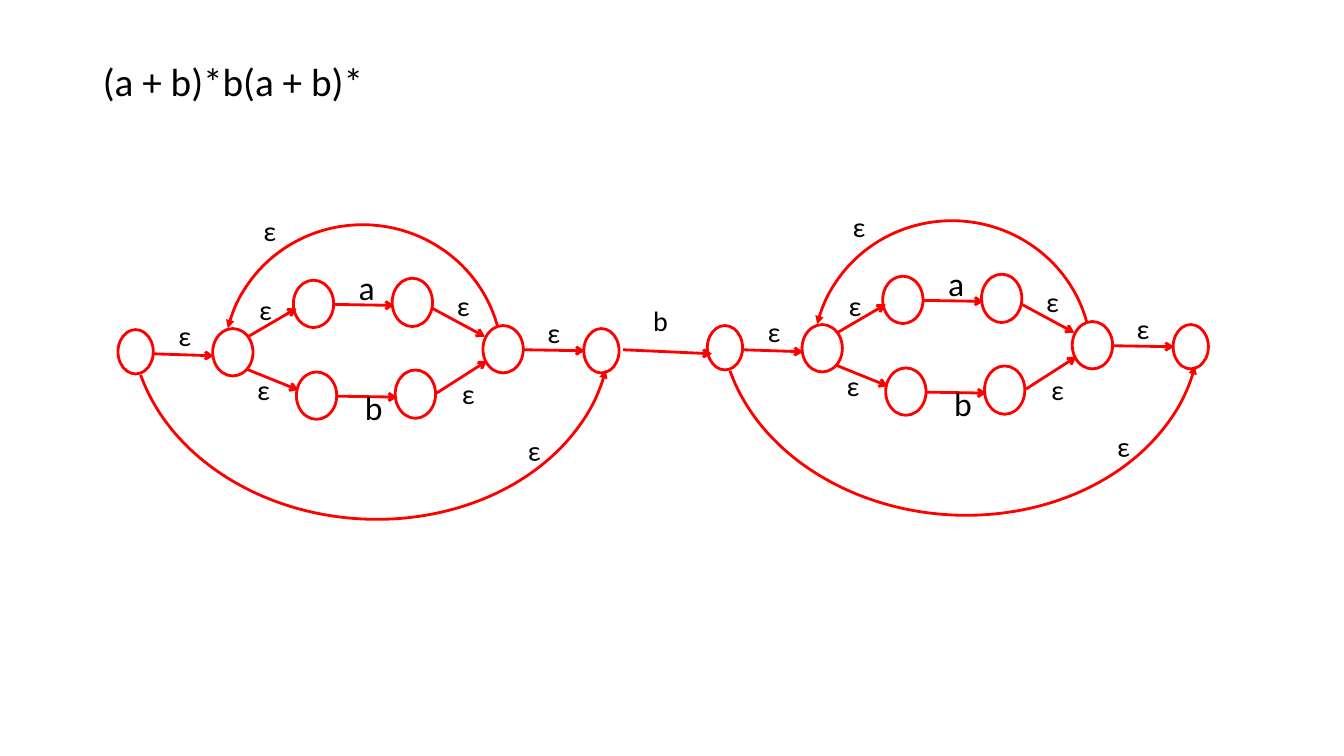
from pptx import Presentation
from pptx.dml.color import RGBColor
from pptx.enum.shapes import MSO_CONNECTOR, MSO_SHAPE
from pptx.enum.text import MSO_ANCHOR
from pptx.oxml.ns import qn
from pptx.util import Inches, Pt
from lxml import etree

OVAL, ARC = MSO_SHAPE.OVAL, MSO_SHAPE.ARC
STRAIGHT, TOP = MSO_CONNECTOR.STRAIGHT, MSO_ANCHOR.TOP
COLORS = {"line": "FF0000", "text": "000000"}


def write(tf, text, size=20, before=0, after=10, spacing=1.0):
    tf.word_wrap = True
    tf.vertical_anchor = TOP
    p = tf.paragraphs[0]
    p.space_before, p.space_after = Pt(before), Pt(after)
    p.line_spacing = spacing
    r = p.add_run()
    r.text = text
    r.font.size, r.font.name = Pt(size), "Calibri"
    r.font.color.rgb = RGBColor.from_string(COLORS["text"])
    return p


def outline(sp, end=None, arrow="arrow"):
    sp.line.color.rgb = RGBColor.from_string(COLORS["line"])
    sp.line.width = Pt(2)
    if end:
        etree.SubElement(sp.line._get_or_add_ln(), qn(end), type=arrow)
    etree.SubElement(sp._element.spPr, qn("a:effectLst"))


prs = Presentation()
prs.slide_width, prs.slide_height = Inches(13.33), Inches(7.5)
s = prs.slides.add_slide(prs.slide_layouts[1])

# Regular expression in the body placeholder
title, body = s.placeholders
title._element.getparent().remove(title._element)
body.left, body.top = Inches(0.92), Inches(0.57)
body.width, body.height = Inches(11.5), Inches(6.18)
p = write(body.text_frame, "(a + b)*b(a + b)*", size=28, before=10, after=0, spacing=0.9)
pPr = p._p.get_or_add_pPr()
pPr.set("marL", "0")
pPr.set("indent", "0")
etree.SubElement(pPr, qn("a:buNone"))

# One (a + b)* automaton: left, top, width, height of each state
states = [
    (2.91, 2.78, 0.4, 0.47), (3.89, 2.76, 0.4, 0.48),
    (2.94, 3.69, 0.4, 0.47), (3.92, 3.67, 0.4, 0.48),
    (2.11, 3.26, 0.4, 0.47), (4.79, 3.23, 0.4, 0.47),
    (1.17, 3.27, 0.35, 0.44), (5.79, 3.26, 0.35, 0.44),
]
# Transitions: x1, y1, x2, y2
arrows = [
    (3.3, 3.02, 3.91, 3.03), (3.33, 3.93, 3.94, 3.94),
    (2.46, 3.34, 2.94, 3.06), (2.44, 3.66, 2.96, 3.87),
    (4.29, 3.06, 4.81, 3.34), (4.33, 3.9, 4.83, 3.58),
    (1.52, 3.51, 2.12, 3.53), (5.19, 3.47, 5.8, 3.48),
]
# Loop back and bypass: box, rotation, start and end angle
arcs = [
    (2.25, 2.2, 2.7, 2.76, 94.2, 99.3, 251.6),
    (1.76, 0.85, 3.84, 4.76, 273.3, 97.4, 254.6),
]
# Labels: text, size, box, rotation
labels = [
    ("a", 24, 3.46, 2.6, 0.26, 0.22, 0), ("b", 24, 3.52, 3.79, 0.22, 0.22, 0),
    ("ε", 20, 2.51, 2.85, 0.16, 0.22, 0), ("ε", 20, 2.48, 3.65, 0.17, 0.18, 0),
    ("ε", 20, 4.46, 2.81, 0.17, 0.18, 0), ("ε", 20, 4.51, 3.69, 0.17, 0.18, 0),
    ("ε", 20, 1.67, 3.11, 0.22, 0.23, 0), ("ε", 20, 5.33, 3.08, 0.22, 0.23, 0),
    ("ε", 20, 2.57, 2.07, 0.14, 0.38, 0), ("ε", 20, 5.17, 4.25, 0.16, 0.37, 357.5),
]

# The same automaton stands on both sides of the middle b
for dx, dy in [(0, 0), (5.845, -0.04)]:
    shapes = s.shapes.add_group_shape().shapes
    for x, y, w, h in states:
        sp = shapes.add_shape(OVAL, Inches(x + dx), Inches(y + dy), Inches(w), Inches(h))
        sp.fill.background()
        outline(sp)
    for x1, y1, x2, y2 in arrows:
        outline(shapes.add_connector(STRAIGHT, Inches(x1 + dx), Inches(y1 + dy),
                                     Inches(x2 + dx), Inches(y2 + dy)), "a:tailEnd")
    for x, y, w, h, rotation, start, end in arcs:
        sp = shapes.add_shape(ARC, Inches(x + dx), Inches(y + dy), Inches(w), Inches(h))
        sp.rotation = rotation
        # 60000 units per degree, adjustments count in 100000 units
        sp.adjustments[0], sp.adjustments[1] = start * 0.6, end * 0.6
        sp.fill.background()
        outline(sp, "a:headEnd", "triangle")
    for text, size, x, y, w, h, rotation in labels:
        tb = shapes.add_textbox(Inches(x + dx), Inches(y + dy), Inches(w), Inches(h))
        tb.rotation = rotation
        write(tb.text_frame, text, size)

# Middle b transition
outline(s.shapes.add_connector(STRAIGHT, Inches(6.18), Inches(3.47),
                               Inches(7.06), Inches(3.51)), "a:tailEnd")
tb = s.shapes.add_textbox(Inches(6.38), Inches(2.96), Inches(0.37), Inches(0.37))
write(tb.text_frame, "b")

prs.save("out.pptx")
